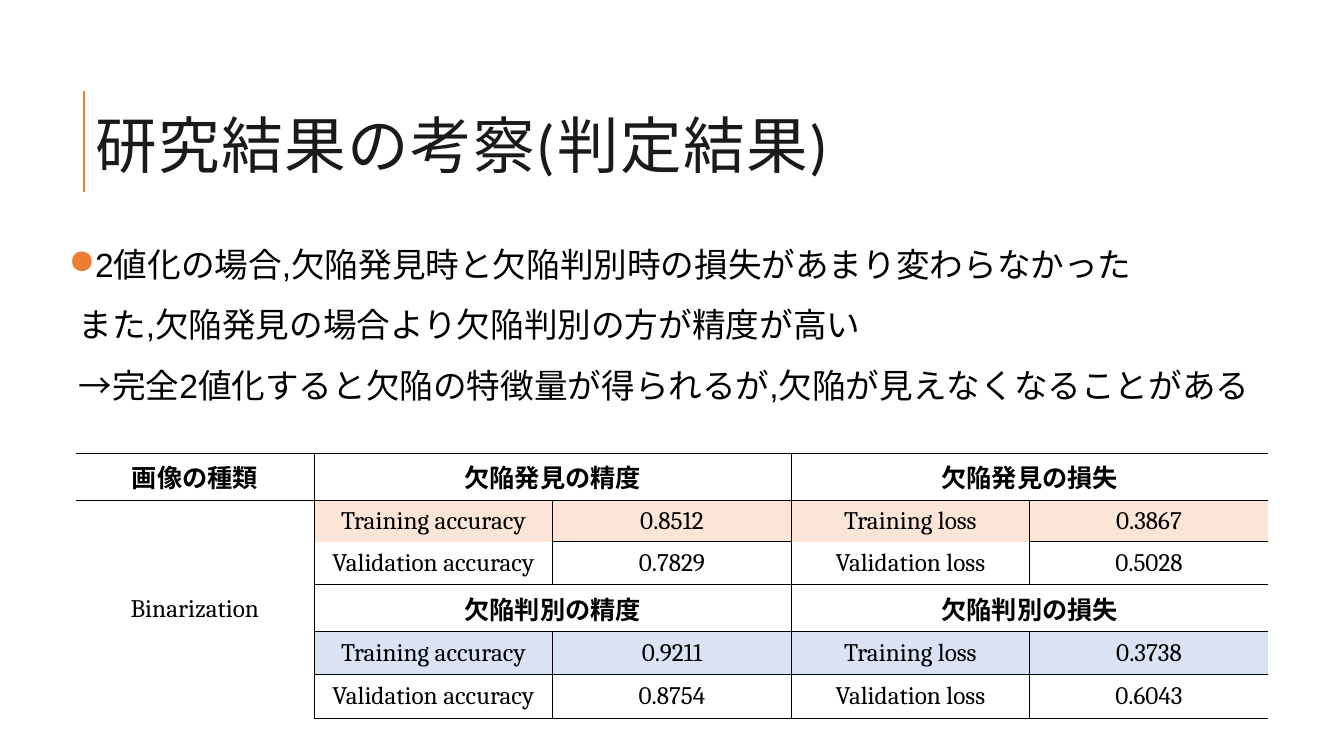
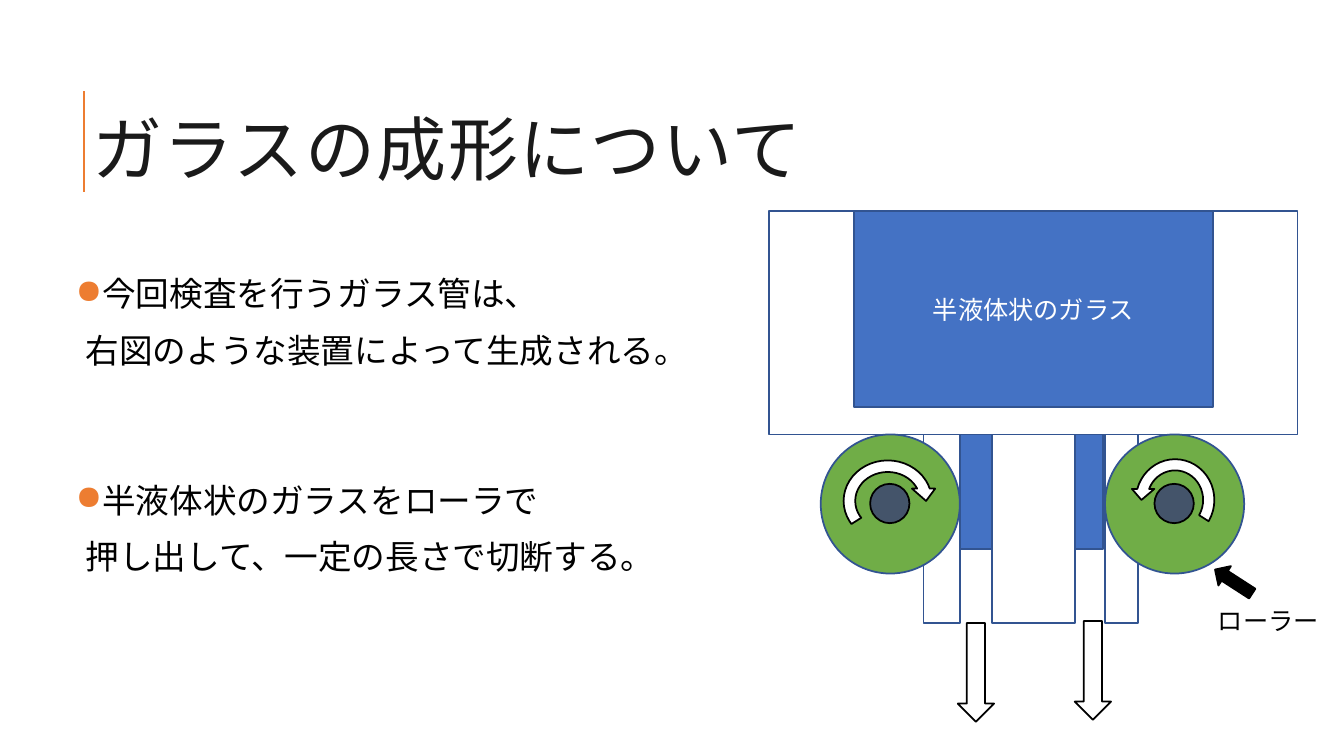
from dataclasses import dataclass

from lxml import etree
from pptx import Presentation
from pptx import util as u
from pptx.dml.color import RGBColor
from pptx.enum import lang, shapes, text
from pptx.oxml.ns import qn

SHAPE = shapes.MSO_SHAPE
CENTER, MIDDLE = text.PP_ALIGN.CENTER, text.MSO_ANCHOR.MIDDLE


@dataclass(frozen=True)
class Theme:
    accent: str = "ED7D31"
    title: str = "1A1A1A"
    black: str = "000000"
    white: str = "FFFFFF"
    outline: str = "325491"
    glass: str = "4472C4"
    roller: str = "70AD47"
    axle: str = "44546A"
    peach: str = "FBE5D6"
    sky: str = "DAE3F3"
    sans: str = "Calibri"
    body_font: str = "Arial"
    serif: str = "Cambria"
    body_size: int = 24
    label_size: int = 18


THEME = Theme()


@dataclass(frozen=True)
class Box:
    """An area in inches, divided into grid units of a tenth of an inch."""
    left: float
    top: float
    width: float
    height: float

    def area(self, col, row, cols, rows):
        return Box(self.left + col / 10, self.top + row / 10, cols / 10, rows / 10)

    def emu(self):
        return [u.Inches(n) for n in (self.left, self.top, self.width, self.height)]


def apply(target, **formats):
    for name, value in formats.items():
        setattr(target, name, value)


def write(para, words, size, color, font=THEME.sans, bold=False, spacing=0):
    """Fill a paragraph; a line feed in the words is a break within it."""
    para.text = words.replace("\n", "\v")
    for span in para.runs:
        apply(span.font, size=u.Pt(size), name=font, bold=bold,
              language_id=lang.MSO_LANGUAGE_ID.JAPANESE)
        span.font.color.rgb = RGBColor.from_string(color)
        if spacing:
            span.font._element.set("spc", str(spacing))


def add_text_frame(page, box, margin=None, **formats):
    frame = page.shapes.add_textbox(*box.emu()).text_frame
    apply(frame, word_wrap=True, auto_size=text.MSO_AUTO_SIZE.NONE, **formats)
    if margin is not None:
        sides = ("left", "top", "right", "bottom")
        apply(frame, **{f"margin_{side}": u.Inches(margin) for side in sides})
    return frame


def add_title(page, box, words, size):
    rule = page.shapes.add_connector(
        shapes.MSO_CONNECTOR.STRAIGHT,
        *[u.Inches(n) for n in (0.83, 1.9, 0.83, 0.9)])
    rule.line.color.rgb = RGBColor.from_string(THEME.accent)
    rule.line.width = u.Pt(1.5)
    etree.SubElement(rule._element.spPr, qn("a:effectLst"))
    para = add_text_frame(page, box, vertical_anchor=MIDDLE).paragraphs[0]
    para.line_spacing = 0.8
    write(para, words, size, THEME.title, spacing=100)


def add_bullet(para):
    props = para._p.get_or_add_pPr()
    props.set("marL", str(u.Inches(0.1)))
    props.set("indent", str(-u.Inches(0.1)))
    color = etree.SubElement(props, qn("a:buClr"))
    etree.SubElement(color, qn("a:srgbClr"), val=THEME.accent)
    etree.SubElement(props, qn("a:buChar"), char="●")


def add_bullets(page, box, items, font, line_spacing, gap=0):
    frame = add_text_frame(page, box, margin=0.05)
    for index, words in enumerate(items):
        para = frame.add_paragraph() if index else frame.paragraphs[0]
        add_bullet(para)
        apply(para, line_spacing=line_spacing, space_after=u.Pt(2),
              space_before=u.Pt(gap if index else 0))
        write(para, words, THEME.body_size, THEME.black, font)


HEADER_ROWS = (0, 3)


def line_above(row, col):
    return row in (0, 1, 6) or (col > 0 and not (row == 2 and col % 2))


def line_left(row, col):
    return 0 < col < 5 and not (row in HEADER_ROWS and col % 2 == 0)


def set_borders(cell, row, col):
    edges = {"a:lnL": line_left(row, col), "a:lnR": line_left(row, col + 1),
             "a:lnT": line_above(row, col), "a:lnB": line_above(row + 1, col)}
    props = cell._tc.get_or_add_tcPr()
    for tag, shown in edges.items():
        line = etree.SubElement(props, qn(tag), w=str(u.Pt(1)))
        fill = etree.SubElement(line, qn("a:solidFill" if shown else "a:noFill"))
        if shown:
            etree.SubElement(fill, qn("a:srgbClr"), val=THEME.black)


def add_results_table(page, box, rows, heights, row_fills):
    table = page.shapes.add_table(len(rows), len(rows[0]), *box.emu()).table
    apply(table, first_row=False, horz_banding=False)
    for column in table.columns:
        column.width = u.Inches(box.width / len(rows[0]))
    for row, values in enumerate(rows):
        table.rows[row].height = u.Inches(heights[row])
        header = row in HEADER_ROWS
        for col, words in enumerate(values):
            cell = table.cell(row, col)
            set_borders(cell, row, col)
            fill = row_fills.get(row, THEME.white) if col else THEME.white
            cell.fill.solid()
            cell.fill.fore_color.rgb = RGBColor.from_string(fill)
            cell.vertical_anchor = MIDDLE
            para = cell.text_frame.paragraphs[0]
            para.alignment = CENTER
            write(para, words, THEME.label_size, THEME.black,
                  THEME.sans if header else THEME.serif, bold=header)
        if header:
            for col in (1, 3):
                table.cell(row, col).merge(table.cell(row, col + 1))
    table.cell(1, 0).merge(table.cell(len(rows) - 1, 0))


def add_solid(canvas, kind, box, fill, line=THEME.outline):
    solid = canvas.add_shape(kind, *box.emu())
    solid.shadow.inherit = False
    solid.fill.solid()
    solid.fill.fore_color.rgb = RGBColor.from_string(fill)
    solid.line.color.rgb = RGBColor.from_string(line)
    solid.line.width = u.Pt(1.25)
    return solid


def add_roller(page, box, turn_box, mirrored):
    """A roller with its axle and an arrow for the direction it turns."""
    canvas = page.shapes.add_group_shape().shapes
    add_solid(canvas, SHAPE.OVAL, box, THEME.roller)
    add_solid(canvas, SHAPE.OVAL, box.area(4.9, 4.9, 3.9, 3.9), THEME.axle, THEME.black)
    turn = add_solid(canvas, SHAPE.CIRCULAR_ARROW, turn_box, THEME.white, THEME.black)
    for index, value in enumerate((0.125, 11.423, 204.577, 88.543, 0.125)):
        turn.adjustments[index] = value
    if mirrored:
        turn._element.spPr.xfrm.set("flipH", "1")


def add_glass_machine(page, box):
    canvas = page.shapes
    outlet = 22.2
    add_solid(canvas, SHAPE.RECTANGLE, box.area(0, 0, 52.4, outlet), THEME.white)
    add_solid(canvas, SHAPE.RECTANGLE, box.area(18.9, outlet, 14.2, 11.4), THEME.glass)
    molten = add_solid(canvas, SHAPE.RECTANGLE, box.area(8.4, 0, 35.6, 19.5), THEME.glass)
    molten.text_frame.vertical_anchor = MIDDLE
    para = molten.text_frame.paragraphs[0]
    para.alignment = CENTER
    write(para, "半液体状のガラス", THEME.label_size, THEME.white)

    for col, cols in ((22.1, 8.2), (15.3, 3.6), (33.3, 3.3)):
        add_solid(canvas, SHAPE.RECTANGLE, box.area(col, outlet, cols, 18.7), THEME.white)
    for col, turn, mirrored in ((5.1, (1.7, 2, 9.9, 9.2), False),
                                (33.3, (2.5, 1.9, 8.9, 9.2), True)):
        roller = box.area(col, outlet, 13.8, 13.8)
        add_roller(page, roller, roller.area(*turn), mirrored)
    for col, row in ((18.7, 40.9), (30.3, 40.7)):
        add_solid(canvas, SHAPE.DOWN_ARROW, box.area(col, row, 3.6, 9.8),
                  THEME.white, THEME.black)

    pointer = add_solid(canvas, SHAPE.DOWN_ARROW, box.area(44.9, 34.6, 2.3, 4.4),
                        THEME.black, THEME.black)
    pointer.rotation = 122.9
    label = add_text_frame(page, box.area(43.5, 38.7, 13.5, 4))
    write(label.paragraphs[0], "ローラー", THEME.label_size, THEME.black)


def build_results(page):
    add_title(page, Box(0.85, 0.68, 10.83, 1.64), "研究結果の考察(判定結果)", 44)
    add_bullets(page, Box(0.63, 2.17, 12.7, 4.64), [
        "2値化の場合,欠陥発見時と欠陥判別時の損失があまり変わらなかった\n"
        "また,欠陥発見の場合より欠陥判別の方が精度が高い\n"
        "→完全2値化すると欠陥の特徴量が得られるが,欠陥が見えなくなることがある",
    ], THEME.body_font, 1.5)
    rows = [
        ("画像の種類", "欠陥発見の精度", "", "欠陥発見の損失", ""),
        ("Binarization", "Training accuracy", "0.8512", "Training loss", "0.3867"),
        ("", "Validation accuracy", "0.7829", "Validation loss", "0.5028"),
        ("", "欠陥判別の精度", "", "欠陥判別の損失", ""),
        ("", "Training accuracy", "0.9211", "Training loss", "0.3738"),
        ("", "Validation accuracy", "0.8754", "Validation loss", "0.6043"),
    ]
    add_results_table(page, Box(0.75, 4.5, 11.83, 2.53), rows,
                      [0.41] * 2 + [0.43] * 4, {1: THEME.peach, 4: THEME.sky})


def build_forming(page):
    add_title(page, Box(0.82, 0.72, 10.63, 1.64), "ガラスの成形について", 50)
    add_bullets(page, Box(0.7, 2.5, 6.35, 3.34), [
        "今回検査を行うガラス管は、\n右図のような装置によって生成される。",
        "半液体状のガラスをローラで\n押し出して、一定の長さで切断する。",
    ], THEME.sans, 1.4, gap=65)
    add_glass_machine(page, Box(7.63, 2.09, 5.24, 5.07))


def main():
    deck = Presentation()
    apply(deck, slide_width=u.Inches(13.33), slide_height=u.Inches(7.5))
    for build in (build_results, build_forming):
        build(deck.slides.add_slide(deck.slide_layouts[6]))
    deck.save("out.pptx")


if __name__ == "__main__":
    main()
